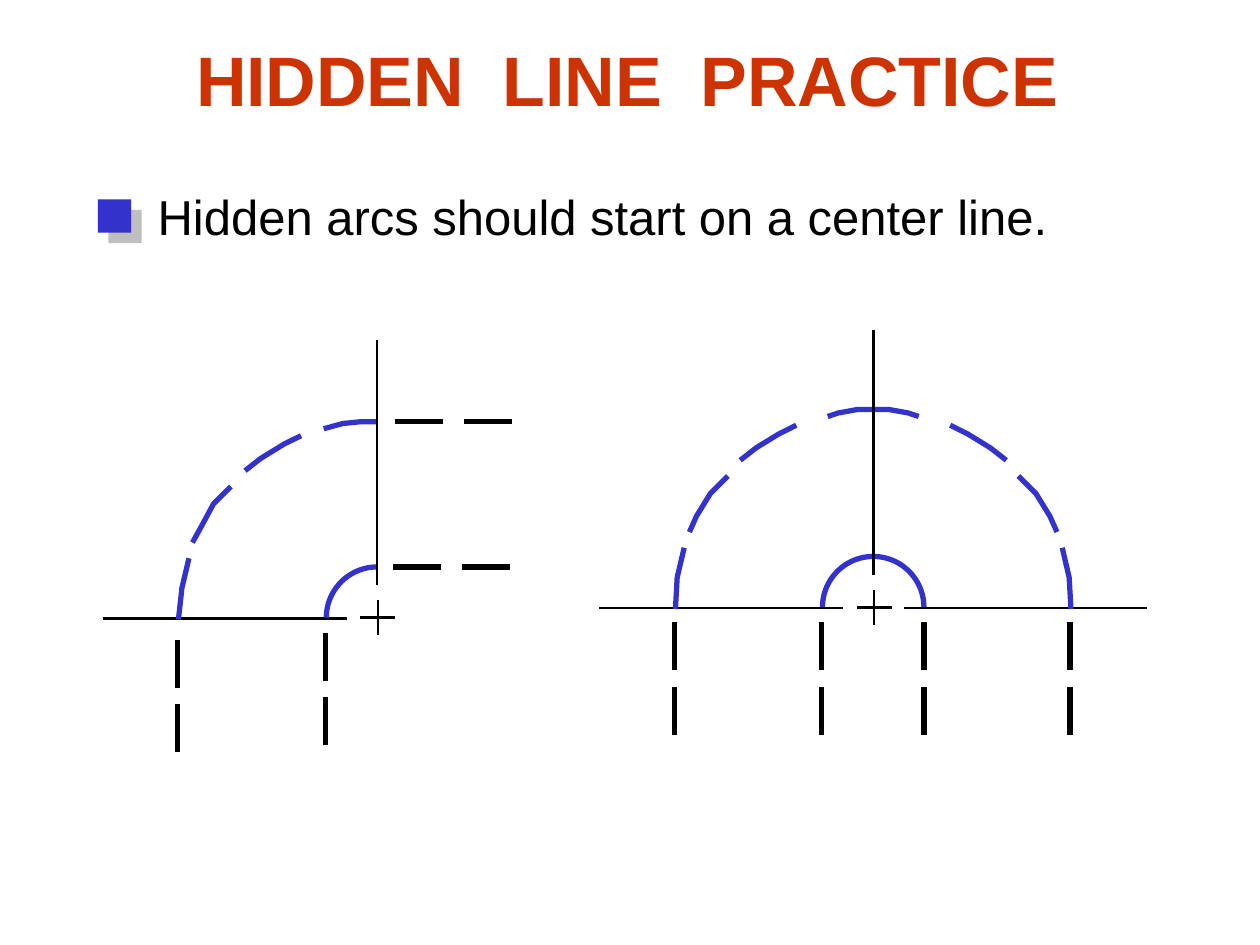
import pptx
import pptx.dml.color
import pptx.enum.shapes
import pptx.enum.text
import pptx.oxml
import pptx.oxml.ns
import pptx.util

Pt = pptx.util.Pt
RGBColor = pptx.dml.color.RGBColor
MSO_SHAPE = pptx.enum.shapes.MSO_SHAPE

BLACK = RGBColor(0x00, 0x00, 0x00)
BLUE = RGBColor(0x33, 0x33, 0xCC)
ORANGE = RGBColor(0xCC, 0x33, 0x00)

THIN, THICK = 1.5, 3
DASH = 27.5
SMALL_RADIUS = 29

prs = pptx.Presentation()
prs.slide_width, prs.slide_height = Pt(720), Pt(540)
slide = prs.slides.add_slide(prs.slide_layouts[6])
shapes = slide.shapes


def add_line(x1, y1, x2, y2, width):
    line = shapes.add_connector(
        pptx.enum.shapes.MSO_CONNECTOR.STRAIGHT, Pt(x1), Pt(y1), Pt(x2), Pt(y2))
    line.line.color.rgb = BLACK
    line.line.width = Pt(width)
    line._element.spPr.append(pptx.oxml.parse_xml(
        f'<a:effectLst {pptx.oxml.ns.nsdecls("a")}/>'))


def style_arc(arc):
    arc.shadow.inherit = False
    arc.fill.background()
    arc.line.color.rgb = BLUE
    arc.line.width = Pt(THICK)


# Square bullet with an offset shadow
bullet = shapes.add_shape(MSO_SHAPE.RECTANGLE, Pt(56), Pt(114), Pt(19), Pt(19))
bullet.fill.solid()
bullet.fill.fore_color.rgb = BLUE
bullet.line.fill.background()
bullet.shadow.inherit = False
bullet._element.spPr.find(pptx.oxml.ns.qn("a:effectLst")).append(pptx.oxml.parse_xml(
    f'<a:outerShdw {pptx.oxml.ns.nsdecls("a")} dist="107950" dir="2700000" algn="ctr" '
    'rotWithShape="0"><a:srgbClr val="808080"><a:alpha val="50000"/></a:srgbClr></a:outerShdw>'))

# Offsets from the arc centre; the last dash meets the vertical center line
side_dashes = [
    [(-113.5, 0), (-112, -17.5), (-108, -34.5)],
    [(-105, -44), (-100.5, -52.5), (-93, -65.5), (-83.5, -75.5)],
    [(-76, -84.5), (-66.5, -91.5), (-54, -99.5), (-44, -104.5)],
]
quarter_top = [(-30.5, -108.5), (-20, -111), (-10, -112.5), (0, -112.5)]
half_top = [(-26, -110), (-20, -111), (-9.5, -113), (0, -113)]

# Centre, mirrored sides, top dash, and (x, gap) of the vertical hidden lines
views = [
    (215.5, 353.5, [1], quarter_top, [(-114, 12), (-29.5, 8)]),
    (499, 347.5, [1, -1], half_top,
     [(-113.5, 8), (-29.5, 8), (29, 8), (112.5, 8)]),
]
for cx, cy, sides, top_dash, hidden_lines in views:
    for side in sides:
        add_line(cx - 156.5 * side, cy, cx - 17.5 * side, cy, THIN)
        for dash in side_dashes + [top_dash]:
            points = [(cx + side * dx, cy + dy) for dx, dy in dash]
            builder = shapes.build_freeform(*points[0], scale=Pt(1))
            builder.add_line_segments(points[1:], close=False)
            style_arc(builder.convert_to_shape())
        small_arc = shapes.add_shape(
            MSO_SHAPE.ARC, Pt(cx - SMALL_RADIUS), Pt(cy - 0.5 - SMALL_RADIUS),
            Pt(2 * SMALL_RADIUS), Pt(2 * SMALL_RADIUS))
        start, end = (180, 270) if side == 1 else (270, 0)
        small_arc.adjustments[0] = start * 0.6
        small_arc.adjustments[1] = end * 0.6
        # Angles are stored in 60000ths of a degree, adjustments in 100000ths
        style_arc(small_arc)
    add_line(cx, cy - 159, cx, cy - 19, THIN)
    mark_x, mark_y = cx + 0.5, cy - 0.5
    add_line(mark_x - 10, mark_y, mark_x + 10, mark_y, THIN)
    add_line(mark_x, mark_y - 10, mark_x, mark_y + 10, THIN)
    for dx, gap in hidden_lines:
        for step in range(2):
            top = cy + gap + 37 * step
            add_line(cx + dx, top + DASH, cx + dx, top, THICK)

# Hidden lines that continue to the right of the quarter arcs
for left, y in [(225.5, 241), (224.5, 324)]:
    for step in range(2):
        x = left + 39.5 * step
        add_line(x, y, x + DASH, y, THICK)

texts = [
    ("Hidden arcs should start on a center line.", (83, 103, 524, 41),
     {"word_wrap": False, "auto_size": pptx.enum.text.MSO_AUTO_SIZE.SHAPE_TO_FIT_TEXT},
     pptx.enum.text.PP_ALIGN.LEFT,
     {"size": Pt(28), "name": "Arial", "bold": False}, BLACK),
    ("HIDDEN  LINE  PRACTICE", (52.5, 0, 612, 90),
     {"word_wrap": True, "vertical_anchor": pptx.enum.text.MSO_ANCHOR.MIDDLE},
     pptx.enum.text.PP_ALIGN.CENTER,
     {"size": Pt(40), "name": "Arial", "bold": True}, ORANGE),
]
for wording, box, frame_format, alignment, font_format, color in texts:
    frame = shapes.add_textbox(*map(Pt, box)).text_frame
    for name, value in frame_format.items():
        setattr(frame, name, value)
    paragraph = frame.paragraphs[0]
    paragraph.alignment = alignment
    run = paragraph.add_run()
    run.text = wording
    for name, value in font_format.items():
        setattr(run.font, name, value)
    run.font.color.rgb = color

prs.save("out.pptx")
